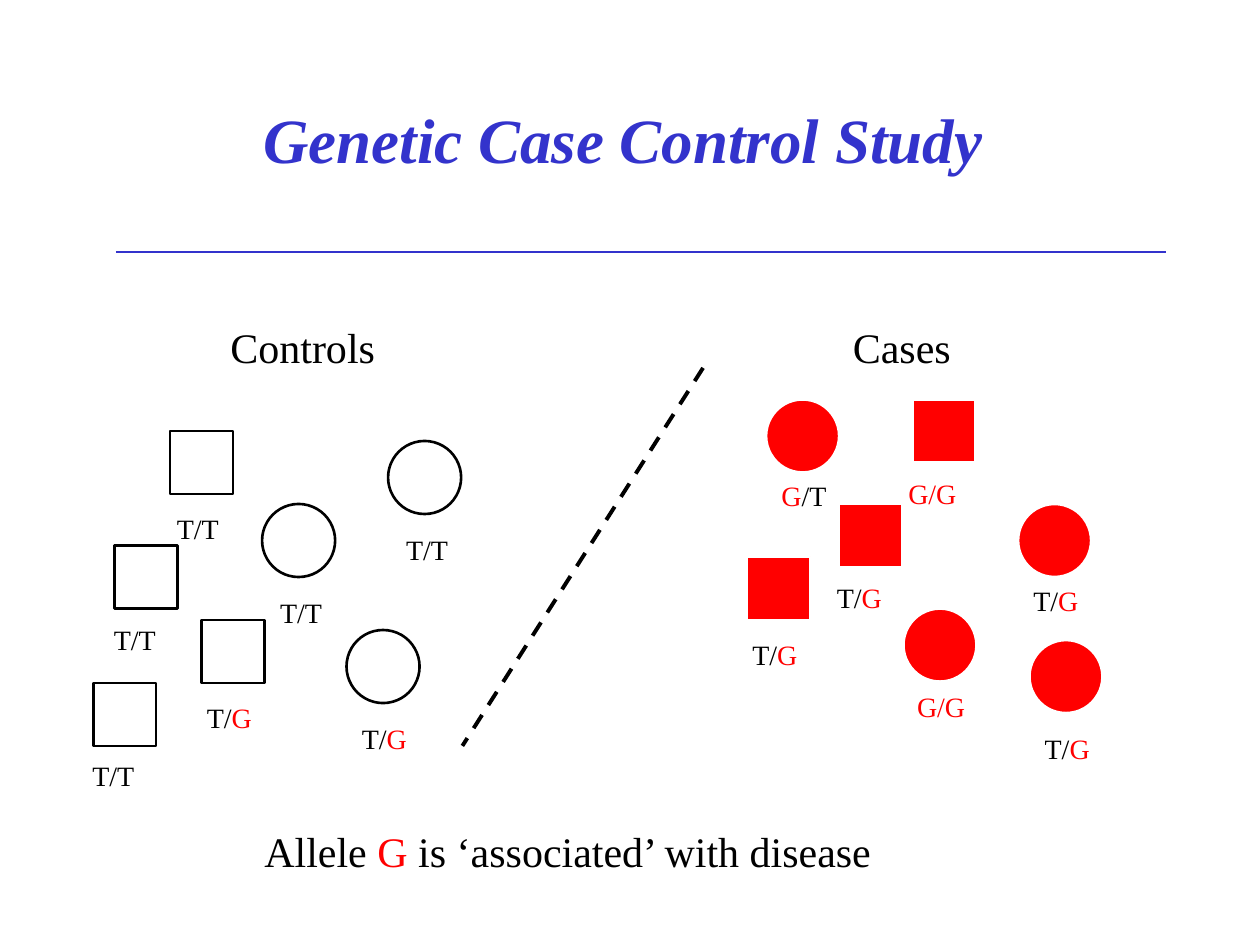
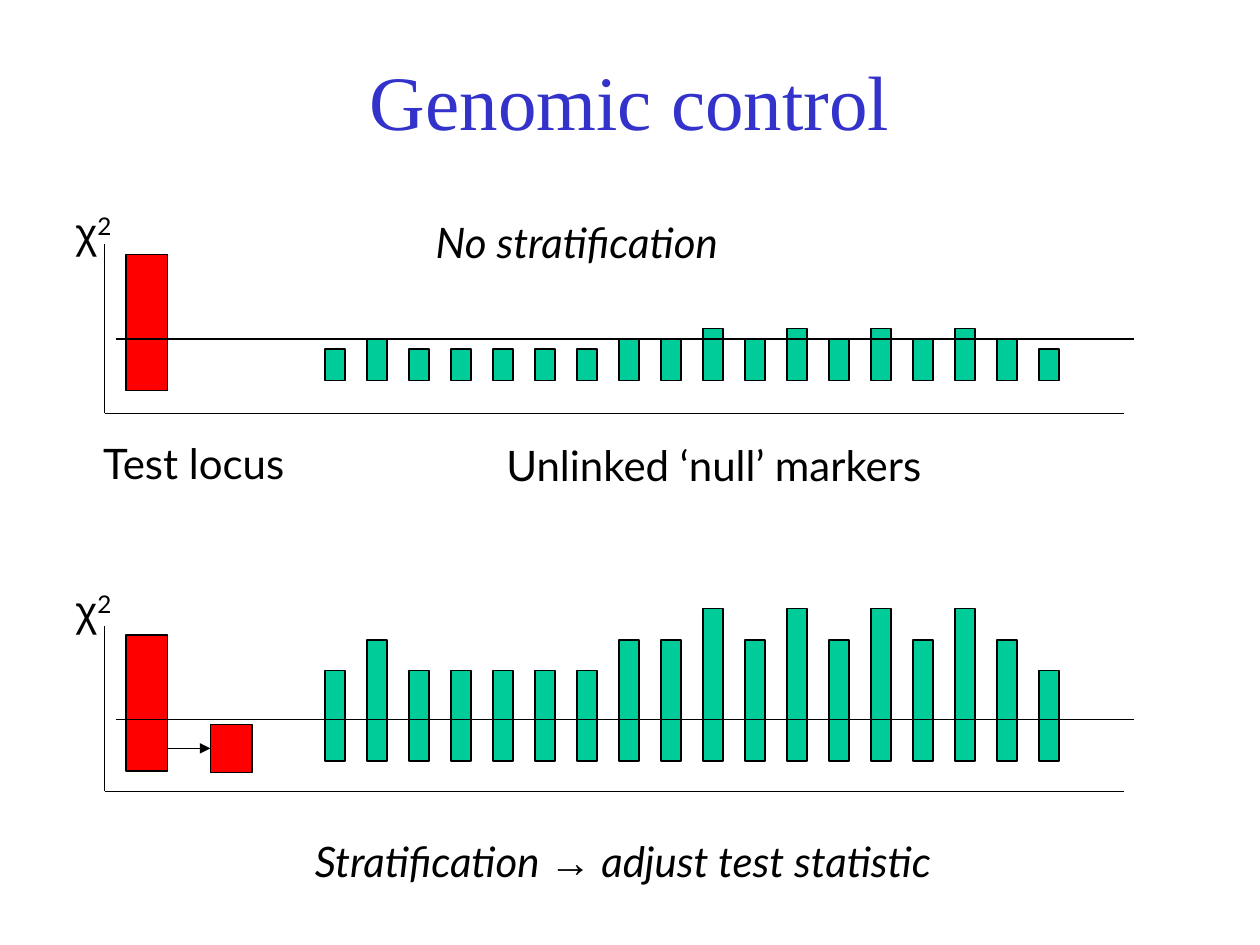
from dataclasses import dataclass

from lxml import etree
from pptx import Presentation
from pptx.dml.color import RGBColor
from pptx.enum import dml, shapes, text
from pptx.oxml import ns
from pptx.util import Inches, Pt


@dataclass(frozen=True)
class Theme:
    title: RGBColor = RGBColor(0x33, 0x33, 0xCC)
    ink: RGBColor = RGBColor(0, 0, 0)
    paper: RGBColor = RGBColor(255, 255, 255)
    risk: RGBColor = RGBColor(255, 0, 0)
    marker: RGBColor = RGBColor(0, 0xCC, 0x99)
    serif: str = "Times New Roman"
    sans: str = "Lato"
    symbol: str = "Arial"
    study_title: int = 36
    control_title: int = 44
    body: int = 24
    genotype: int = 16
    thin: float = 0.75
    outline: float = 1.5
    divider: float = 2.25


theme = Theme()
LEFT, CENTER = text.PP_ALIGN.LEFT, text.PP_ALIGN.CENTER
RECT, OVAL = shapes.MSO_SHAPE.RECTANGLE, shapes.MSO_SHAPE.OVAL


def write(frame, runs, size, font, color=theme.ink, align=LEFT, bold=False, italic=False):
    """Fill a frame with one paragraph; runs are (text, own colour, own font)."""
    paragraph = frame.paragraphs[0]
    paragraph.alignment = align
    paragraph.font.size = Pt(size)
    paragraph.font.bold, paragraph.font.italic = bold, italic
    paragraph.font.color.rgb = color
    paragraph.font.name = font
    for words, own_color, own_font in runs:
        run = paragraph.add_run()
        run.text = words
        if own_color is not None:
            run.font.color.rgb = own_color
        if own_font is not None:
            run.font.name = own_font
    return paragraph


def draw(slide, kind, box, fill=None, line=theme.ink, width=theme.thin):
    """Add a text box (kind "text"), a line (kind "line") or a preset shape."""
    box = [Inches(value) for value in box]
    if kind == "text":
        label = slide.shapes.add_textbox(*box)
        label.text_frame.word_wrap = False
        label.text_frame.auto_size = text.MSO_AUTO_SIZE.SHAPE_TO_FIT_TEXT
        return label
    if kind == "line":
        item = slide.shapes.add_connector(shapes.MSO_CONNECTOR.STRAIGHT, *box)
        etree.SubElement(item._element.spPr, ns.qn("a:effectLst"))
    else:
        item = slide.shapes.add_shape(kind, *box)
        item.shadow.inherit = False
        if fill is None:
            item.fill.background()
        else:
            item.fill.solid()
            item.fill.fore_color.rgb = fill
    item.line.color.rgb = line
    item.line.width = Pt(width)
    return item


prs = Presentation()
prs.slide_width, prs.slide_height = Inches(10), Inches(7.5)

# Titles
titles = [
    ("Genetic Case Control Study", (1.99, 0.75, 5.91, 0.7), theme.study_title, True),
    ("Genomic control", (0.75, 0.17, 8.5, 1.25), theme.control_title, False),
]
for words, box, size, emphasis in titles:
    slide = prs.slides.add_slide(prs.slide_layouts[5])
    title = slide.shapes.title
    title.left, title.top, title.width, title.height = [Inches(value) for value in box]
    title.text_frame.vertical_anchor = text.MSO_ANCHOR.MIDDLE
    title.text_frame.word_wrap = True
    write(title.text_frame, [(words, None, None)], size, theme.serif, theme.title,
          CENTER, emphasis, emphasis)
study, control = prs.slides

# Study: rule, group headings and the line between the groups
draw(study, "line", (0.92, 2, 9.25, 2), line=theme.title)
for heading, left, width in [("Controls", 1.73, 1.35), ("Cases", 6.67, 0.98)]:
    label = draw(study, "text", (left, 2.5, width, 0.5))
    write(label.text_frame, [(heading, None, None)], theme.body, theme.serif)
divider = draw(study, "line", (5.58, 2.92, 3.67, 5.92), width=theme.divider)
divider.line.dash_style = dml.MSO_LINE.DASH

# Study: people (squares and circles) with their genotypes
genotype_runs = {
    "T/T": [("T/T", None, None)],
    "T/G": [("T/", None, None), ("G", theme.risk, None)],
    "G/T": [("G", theme.risk, None), ("/T", None, None)],
    "G/G": [("G/G", theme.risk, None)],
}
controls = [  # symbol, left, top, genotype, label centre, label top
    (RECT, 1.35, 3.42, "T/T", 1.57, 4.01),
    (OVAL, 3.08, 3.5, "T/T", 3.39, 4.18),
    (OVAL, 2.08, 4, "T/T", 2.39, 4.68),
    (RECT, 0.91, 4.33, "T/T", 1.07, 4.89),
    (RECT, 1.6, 4.92, "T/G", 1.82, 5.51),
    (OVAL, 2.75, 5, "T/G", 3.05, 5.68),
    (RECT, 0.74, 5.42, "T/T", 0.9, 5.97),
]
cases = [
    (OVAL, 6.08, 3.17, "G/T", 6.38, 3.75),
    (RECT, 7.24, 3.17, "G/G", 7.4, 3.73),
    (RECT, 6.66, 4, "T/G", 6.82, 4.56),
    (OVAL, 8.08, 4, "T/G", 8.38, 4.58),
    (RECT, 5.93, 4.42, "T/G", 6.15, 5.01),
    (OVAL, 7.17, 4.83, "G/G", 7.47, 5.42),
    (OVAL, 8.17, 5.08, "T/G", 8.47, 5.76),
]
label_width = 0.7
for people, fill, line in [(controls, None, theme.ink), (cases, theme.risk, theme.paper)]:
    for symbol, left, top, genotype, label_center, label_top in people:
        side = 0.5 if symbol == RECT else 0.58
        draw(study, symbol, (left, top, side, side), fill, line, theme.outline)
        label = draw(study, "text",
                     (label_center - label_width / 2, label_top, label_width, 0.37))
        write(label.text_frame, genotype_runs[genotype], theme.genotype, theme.serif,
              align=CENTER)

# Study: conclusion
conclusion = draw(study, "text", (2, 6.5, 5.17, 0.5))
conclusion.text_frame.word_wrap = True
write(conclusion.text_frame,
      [("Allele ", None, None), ("G", theme.risk, None),
       (" is ‘associated’ with disease", None, None)],
      theme.body, theme.serif)

# Control: two panels of test statistics
marker_levels = [0, 1, 0, 0, 0, 0, 0, 1, 1, 2, 1, 2, 1, 2, 1, 2, 1, 0]
panels = [  # statistic top, axis top, base, marker bottom, marker heights, test top, mean
    (1.59, 1.94, 3.28, 3.02, (0.25, 0.33, 0.41), 2.02, 2.69),
    (4.59, 4.97, 6.28, 6.04, (0.72, 0.96, 1.21), 5.04, 5.71),
]
for statistic_top, axis_top, base, marker_bottom, heights, test_top, mean in panels:
    for place, level in enumerate(marker_levels):
        height = heights[level]
        draw(control, RECT, (2.58 + place / 3, marker_bottom - height, 0.16, height),
             theme.marker)
    draw(control, RECT, (1, test_top, 0.33, 1.08), theme.risk)
    draw(control, "line", (0.92, mean, 9, mean))
    draw(control, "line", (0.83, axis_top, 0.83, base))
    draw(control, "line", (0.83, base, 8.92, base))
    statistic = draw(control, "text", (0.5, statistic_top, 0.49, 0.5))
    chi = write(statistic.text_frame, [("χ", None, theme.symbol), ("2", None, None)],
                theme.body, theme.sans)
    chi.runs[1]._r.get_or_add_rPr().set("baseline", "30000")

# Control: adjusted test statistic
adjusted = draw(control, RECT, (1.67, 5.75, 0.33, 0.38), theme.risk)
adjustment = draw(control, "line", (1.33, 5.94, 1.67, 5.94))
adjustment.end_connect(adjusted, 1)
etree.SubElement(adjustment.line._get_or_add_ln(), ns.qn("a:tailEnd"), type="triangle")

# Control: captions
captions = [
    ((3.36, 1.67, 2.59, 0.5), [("No stratification", None, None)], True),
    ((0.72, 3.42, 1.75, 0.5), [("Test locus", None, None)], False),
    ((3.92, 3.44, 3.77, 0.5), [("Unlinked ‘null’ markers", None, None)], False),
    ((2.4, 6.58, 5.3, 0.5),
     [("Stratification ", None, None), ("→", None, theme.symbol),
      (" adjust test statistic", None, None)], True),
]
for box, runs, italic in captions:
    caption = draw(control, "text", box)
    write(caption.text_frame, runs, theme.body, theme.sans, italic=italic)

prs.save("out.pptx")
